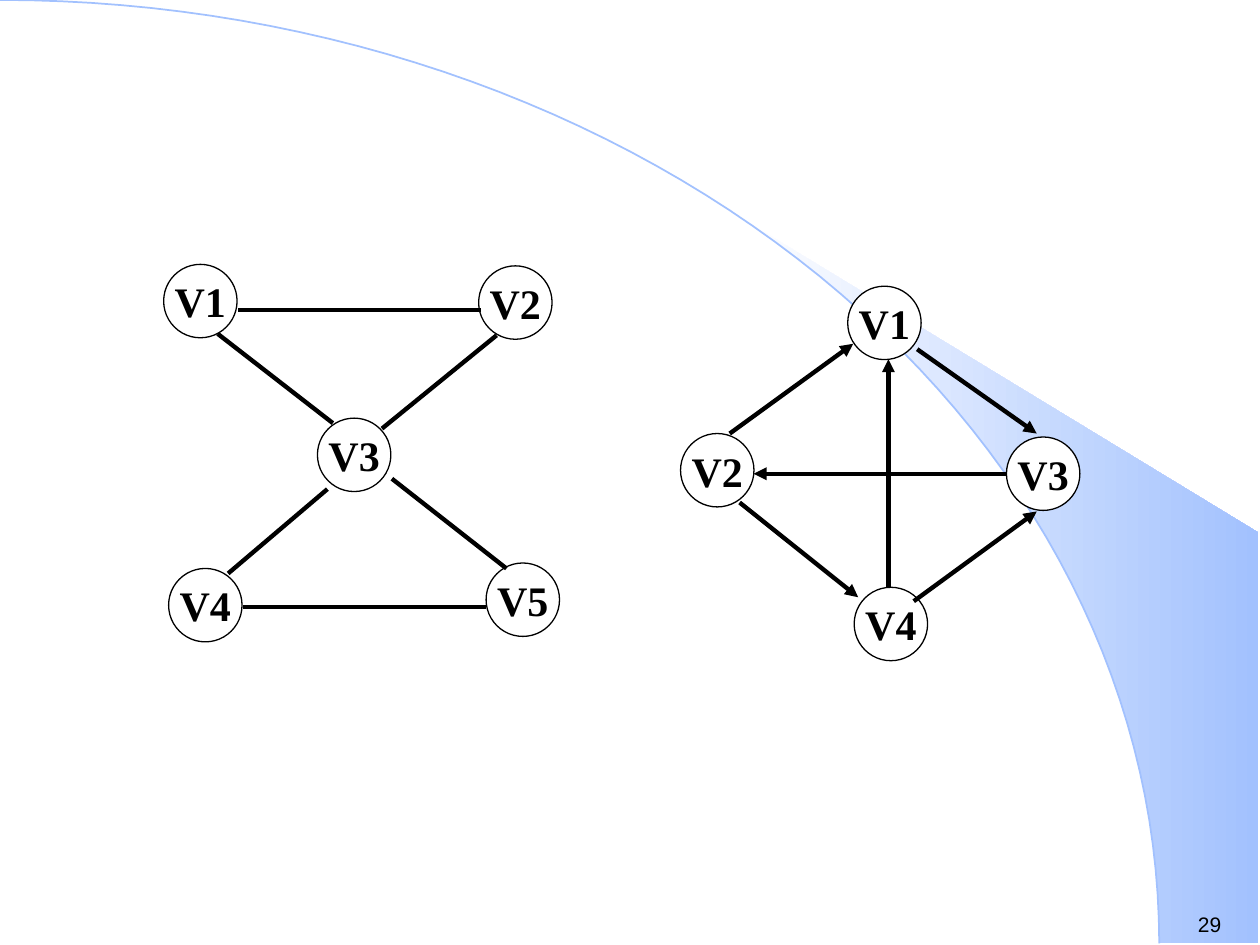
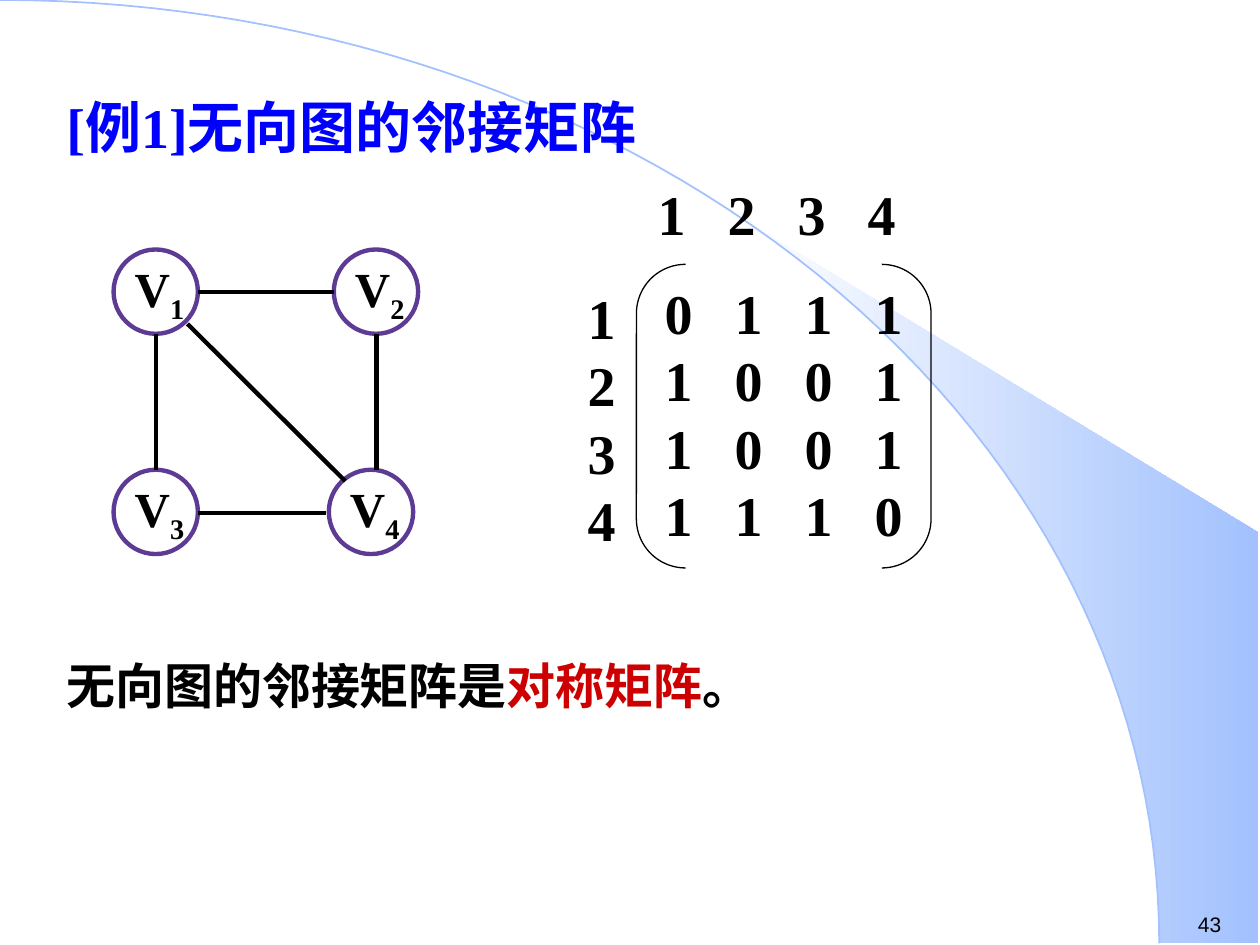
from math import asin, cos, pi, sin

from lxml import etree
from pptx import Presentation
from pptx.dml.color import RGBColor
from pptx.enum.shapes import MSO_CONNECTOR, MSO_SHAPE
from pptx.enum.text import MSO_ANCHOR, PP_ALIGN
from pptx.oxml.ns import qn
from pptx.util import Cm, Pt

STRAIGHT = MSO_CONNECTOR.STRAIGHT
CIRCLE, STATE = MSO_SHAPE.OVAL, MSO_SHAPE.FLOWCHART_CONNECTOR
BRACKETS = MSO_SHAPE.DOUBLE_BRACKET
TOP, MIDDLE = MSO_ANCHOR.TOP, MSO_ANCHOR.MIDDLE
LEFT, CENTER = PP_ALIGN.LEFT, PP_ALIGN.CENTER

BLACK = RGBColor(0x00, 0x00, 0x00)
WHITE = RGBColor(0xFF, 0xFF, 0xFF)
SKY = RGBColor(0xA2, 0xC1, 0xFE)
BLUE = RGBColor(0x00, 0x00, 0xFF)
RED = RGBColor(0xCC, 0x00, 0x00)
PURPLE = RGBColor(0x5D, 0x3B, 0x95)

SERIF, SANS = "Times New Roman", "Arial"
ARC_W, ARC_H, RIGHT_EDGE = 23.37, 19.02, 25.37
WEDGE_X, WEDGE_RIGHT_Y = 14.96, 10.74
COLUMN_STEP = 1.41

UNDIRECTED_NODES = [("V1", 3.3, 5.33), ("V2", 9.65, 5.36), ("V3", 6.4, 8.43),
                    ("V4", 3.4, 11.46), ("V5", 9.8, 11.35)]
UNDIRECTED_EDGES = [(4.8, 6.25, 9.7, 6.25), (4.9, 12.24, 9.8, 12.24),
                    (4.6, 11.56, 6.6, 9.86), (7.9, 9.65, 10.21, 11.46),
                    (4.39, 6.73, 6.71, 8.53), (7.7, 8.64, 10.01, 6.76)]
DIRECTED_NODES = [("V1", 17.09, 5.77), ("V2", 13.72, 8.74),
                  ("V3", 20.29, 8.81), ("V4", 17.22, 11.84)]
CROSSING_ARROWS = [(17.91, 11.84, 17.91, 7.24), (20.27, 9.55, 15.19, 9.55)]
OUTER_ARROWS = [(18.49, 7.04, 20.9, 8.74), (14.91, 10.13, 17.3, 12.04),
                (14.71, 8.74, 17.2, 6.93), (18.42, 12.12, 20.9, 10.31)]

EXAMPLE_NODES = [("1", 2.29, 5.03), ("2", 6.73, 5.03),
                 ("3", 2.29, 9.47), ("4", 6.63, 9.47)]
EXAMPLE_EDGES = [(3.99, 5.89, 6.73, 5.89), (7.59, 6.73, 7.59, 9.47),
                 (3.99, 10.34, 6.58, 10.34), (3.15, 6.73, 3.15, 9.47),
                 (3.78, 6.53, 6.96, 9.7)]
ADJACENCY = ["0111", "1001", "1001", "1110"]


class Deck:
    """Hold the presentation style and the current slide."""

    def __init__(self):
        self.prs = Presentation()
        self.prs.slide_width, self.prs.slide_height = Cm(25.4), Cm(19.05)
        self.s = None

    def slide(self, number):
        """Start a slide with the shared arc, wedge and page number."""
        self.s = self.prs.slides.add_slide(self.prs.slide_layouts[6])
        edge = [(RIGHT_EDGE, ARC_H), (RIGHT_EDGE, WEDGE_RIGHT_Y)]
        wedge = self.outline(self.arc(asin(WEDGE_X / ARC_W)) + edge, True)
        wedge.line.fill.background()
        wedge.fill.gradient()
        wedge.fill.gradient_angle = 0
        for stop, position, color in zip(wedge.fill.gradient_stops, (0, 1), (WHITE, SKY)):
            stop.position = position
            stop.color.rgb = color
        curve = self.outline(self.arc(0), False)
        curve.fill.background()
        self.stroke(curve, SKY, 1)
        self.text((23.9, 18.24, 1.5, 0.76), [[(str(number), BLACK)]], 12,
                  font=SANS, bold=False)

    def arc(self, start, steps=60):
        """Return points on the quarter ellipse from an angle to its end."""
        angles = [start + (pi / 2 - start) * i / steps for i in range(steps + 1)]
        return [(ARC_W * sin(a), ARC_H * (1 - cos(a))) for a in angles]

    def outline(self, points, closed):
        """Draw a freeform through points."""
        points = [(Cm(x), Cm(y)) for x, y in points]
        builder = self.s.shapes.build_freeform(*points[0])
        builder.add_line_segments(points[1:], close=closed)
        sp = builder.convert_to_shape()
        sp.shadow.inherit = False
        return sp

    def stroke(self, sp, color, width):
        """Set the colour and width of a line."""
        sp.line.color.rgb = color
        sp.line.width = Pt(width)

    def put_text(self, sp, paragraphs, size, font=SERIF, bold=True, align=LEFT,
                 anchor=TOP, insets=(0, 0, 0, 0), wrap=True, tabbed=False):
        """Fill a shape with paragraphs of (text, colour[, baseline]) runs."""
        tf = sp.text_frame
        tf.word_wrap = wrap
        tf.vertical_anchor = anchor
        tf.margin_left, tf.margin_top, tf.margin_right, tf.margin_bottom = map(Cm, insets)
        for i, runs in enumerate(paragraphs):
            p = tf.add_paragraph() if i else tf.paragraphs[0]
            p.alignment = align
            if tabbed:
                tabs = etree.SubElement(p._p.get_or_add_pPr(), qn("a:tabLst"))
                for column in range(1, 4):
                    etree.SubElement(tabs, qn("a:tab"), algn="l",
                                     pos=str(int(Cm(column * COLUMN_STEP))))
            for text, color, *baseline in runs:
                r = p.add_run()
                r.text = text
                r.font.name, r.font.size, r.font.bold = font, Pt(size), bold
                r.font.color.rgb = color
                for shift in baseline:
                    r._r.get_or_add_rPr().set("baseline", str(shift))

    def text(self, box, paragraphs, size, insets=(0.25, 0.13, 0.25, 0.13), **style):
        """Add a text box."""
        sp = self.s.shapes.add_textbox(*map(Cm, box))
        self.put_text(sp, paragraphs, size, insets=insets, **style)

    def shape(self, kind, box, line, width, fill=None):
        """Add a preset shape."""
        sp = self.s.shapes.add_shape(kind, *map(Cm, box))
        sp.shadow.inherit = False
        if fill is None:
            sp.fill.background()
        else:
            sp.fill.solid()
            sp.fill.fore_color.rgb = fill
        self.stroke(sp, line, width)
        return sp

    def state(self, label, x, y):
        """Add a white graph node."""
        sp = self.shape(STATE, (x, y, 1.48, 1.48), BLACK, 0.75, WHITE)
        self.put_text(sp, [[(label, BLACK)]], 24, align=CENTER, anchor=MIDDLE, wrap=False)

    def vertex(self, index, x, y):
        """Add a purple graph node with a subscript."""
        sp = self.shape(CIRCLE, (x, y, 1.7, 1.7), PURPLE, 2.5)
        self.put_text(sp, [[("V", BLACK), (index, BLACK, -25000)]], 28, align=CENTER,
                      anchor=MIDDLE, insets=(0.15, 0, 0, 0), wrap=False)

    def edges(self, ends, arrow=False):
        """Add straight graph edges."""
        for points in ends:
            c = self.s.shapes.add_connector(STRAIGHT, *map(Cm, points))
            self.stroke(c, BLACK, 2.5)
            properties = c._element.spPr
            if arrow:
                etree.SubElement(properties.get_or_add_ln(), qn("a:tailEnd"), type="triangle")
            etree.SubElement(properties, qn("a:effectLst"))

    def matrix(self, rows):
        """Add a bracketed matrix with numbered rows and columns."""
        numbers = [str(i + 1) for i in range(len(rows))]
        flush = (0, 0, 0, 0)
        self.text((11.43, 5.72, 1.4, 5.84), [[(n, BLACK)] for n in numbers], 32,
                  insets=flush, align=CENTER)
        sp = self.shape(BRACKETS, (12.83, 5.33, 5.94, 6.12), BLACK, 0.75)
        sp.adjustments[0] = 0.167
        self.put_text(sp, [[("\t".join(row), BLACK)] for row in rows], 32,
                      insets=(0.28, 0, 0, 0), tabbed=True)
        self.text((13.26, 3.61, 5.28, 1.75), [[("\t".join(numbers), BLACK)]], 32,
                  insets=flush, tabbed=True)


def main():
    deck = Deck()

    deck.slide(29)
    deck.edges(CROSSING_ARROWS, arrow=True)
    for node in UNDIRECTED_NODES + DIRECTED_NODES:
        deck.state(*node)
    deck.edges(UNDIRECTED_EDGES)
    deck.edges(OUTER_ARROWS, arrow=True)

    deck.slide(43)
    deck.text((1.09, 1.73, 21.2, 1.8), [[("[例1]无向图的邻接矩阵", BLUE)]], 32)
    deck.matrix(ADJACENCY)
    for node in EXAMPLE_NODES:
        deck.vertex(*node)
    deck.edges(EXAMPLE_EDGES)
    deck.text((1.09, 13.08, 21.2, 1.6),
              [[("无向图的邻接矩阵是", BLACK), ("对称矩阵", RED), ("。", BLACK)]], 28)

    deck.prs.save("out.pptx")


if __name__ == "__main__":
    main()
